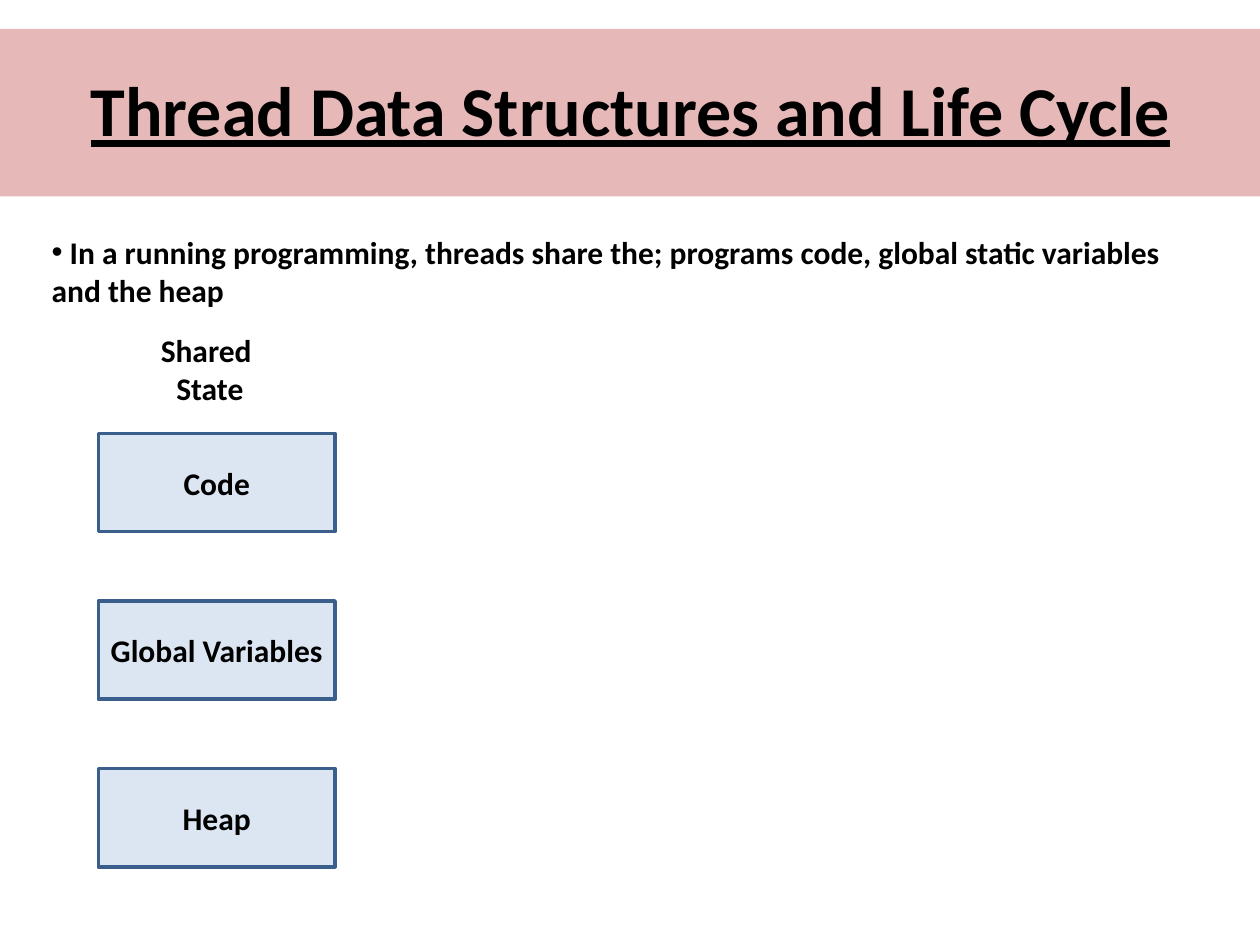
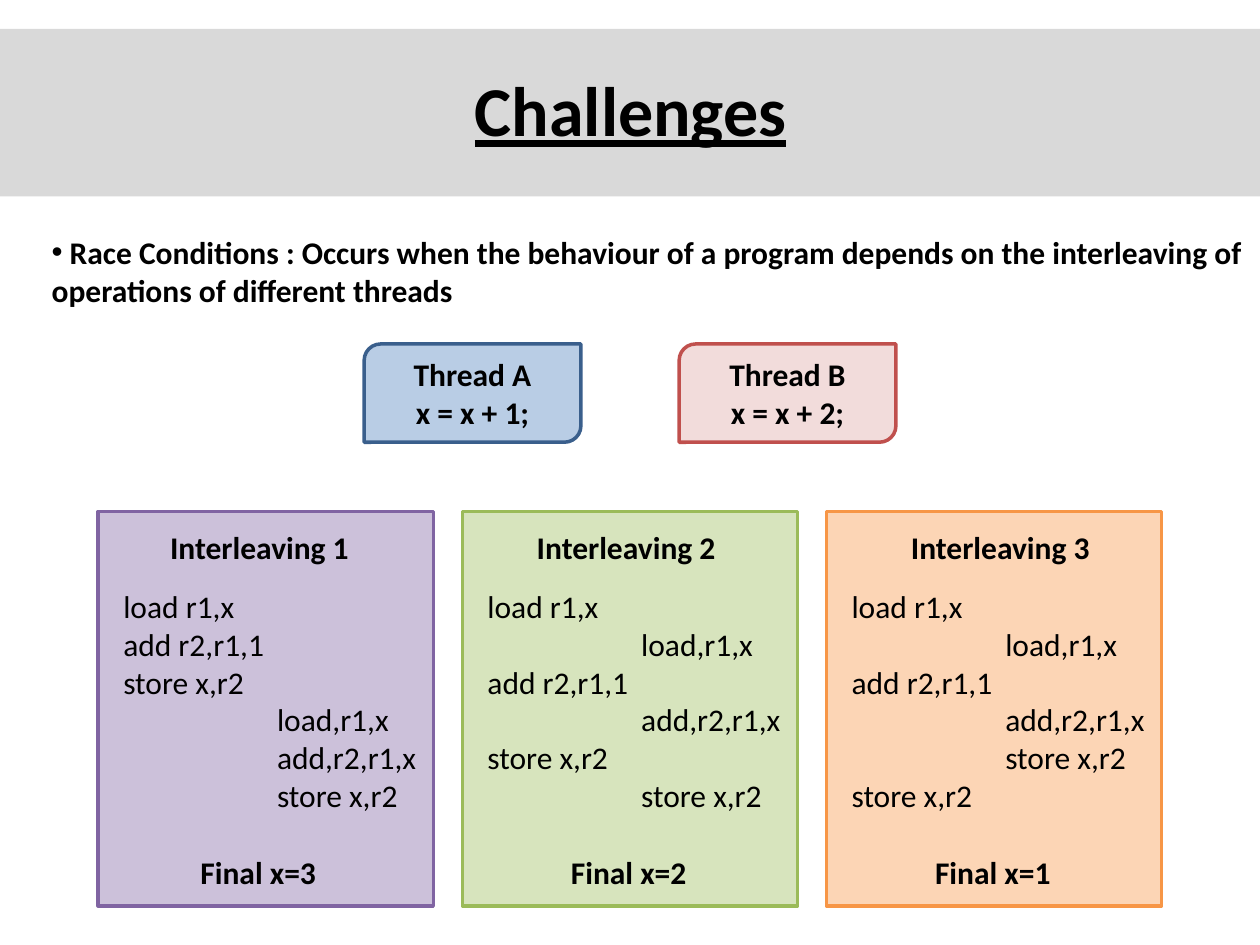
from pptx import Presentation
from pptx import util as u
from pptx.dml.color import RGBColor
from pptx.enum import shapes, text
from lxml import etree
from dataclasses import dataclass


@dataclass(frozen=True)
class Theme:
    font: str = "Calibri"
    ink: str = "000000"
    title_size: int = 40
    body_size: int = 18
    line_width: int = 2
    blue_line: str = "3A5F8C"
    pale_blue: str = "DCE6F2"
    blue: str = "B9CDE5"
    pink: str = "F2DCDB"
    red_line: str = "C0504D"
    rose_band: str = "E6B9B8"
    grey_band: str = "D9D9D9"


THEME = Theme()
WIDTH, HEIGHT = 10, 7.5
MARGIN = 0.78
BOX_HEIGHT = 0.78
THREAD_B_INDENT = 1.22

LIFE_CYCLE = {
    "title": "Thread Data Structures and Life Cycle",
    "band": THEME.rose_band,
    "bullet": " In a running programming, threads share the; programs code, "
              "global static variables and the heap",
    "bullet_width": 9.38,
}
SHARED_HEADING = ["Shared ", "State"]
SHARED_STATE = ["Code", "Global Variables", "Heap"]

CHALLENGES = {
    "title": "Challenges",
    "band": THEME.grey_band,
    "bullet": " Race Conditions : Occurs when the behaviour of a program depends on "
              "the interleaving of operations of different threads",
    "bullet_width": 9.69,
}
THREADS = [
    (["Thread A", "x = x + 1;"], THEME.blue, THEME.blue_line),
    (["Thread B", "x = x + 2;"], THEME.pink, THEME.red_line),
]
OPERATIONS = {
    "A": ["load r1,x", "add r2,r1,1", "store x,r2"],
    "B": ["load,r1,x", "add,r2,r1,x", "store x,r2"],
}
INTERLEAVINGS = [
    {"order": "AAABBB", "final": 3, "fill": "CCC1DA", "line": "8064A2",
     "heading_shift": -0.05, "final_shift": -0.06},
    {"order": "ABABAB", "final": 2, "fill": "D7E4BD", "line": "9BBB59",
     "heading_shift": -0.03, "final_shift": -0.01},
    {"order": "ABABBA", "final": 1, "fill": "FCD5B5", "line": "F79646",
     "heading_shift": 0.05, "final_shift": -0.01},
]


def place(shape, left, top, width, height):
    shape.left, shape.top = u.Inches(left), u.Inches(top)
    shape.width, shape.height = u.Inches(width), u.Inches(height)


def write(shape, lines, size=THEME.body_size, bold=True, underline=False,
          align=text.PP_ALIGN.CENTER, anchor=text.MSO_ANCHOR.MIDDLE,
          indents=None, bullet=None):
    frame = shape.text_frame
    frame.word_wrap = True
    frame.auto_size = text.MSO_AUTO_SIZE.NONE
    frame.vertical_anchor = anchor
    for index, line in enumerate(lines):
        paragraph = frame.paragraphs[0] if index == 0 else frame.add_paragraph()
        paragraph.alignment = align
        paragraph.space_before = u.Pt(0)
        properties = paragraph._p.get_or_add_pPr()
        properties.set("marL", str(u.Inches(indents[index] if indents else 0)))
        properties.set("indent", "0")
        if bullet:
            mark = etree.SubElement(properties, properties.tag.replace("pPr", "buChar"))
            mark.set("char", bullet)
        run = paragraph.add_run()
        run.text = line
        run.font.name = THEME.font
        run.font.size = u.Pt(size)
        run.font.bold = bold
        run.font.underline = underline
        run.font.color.rgb = RGBColor.from_string(THEME.ink)


def add_box(slide, left, top, width, height, fill, line=None,
            kind=shapes.MSO_SHAPE.RECTANGLE):
    shape = slide.shapes.add_shape(kind, *map(u.Inches, (left, top, width, height)))
    shape.shadow.inherit = False
    shape.fill.solid()
    shape.fill.fore_color.rgb = RGBColor.from_string(fill)
    if line:
        shape.line.color.rgb = RGBColor.from_string(line)
        shape.line.width = u.Pt(THEME.line_width)
    else:
        shape.line.fill.background()
    return shape


def add_label(slide, lines, left, top, width, height, **format):
    label = slide.shapes.add_textbox(*map(u.Inches, (left, top, width, height)))
    write(label, lines, anchor=text.MSO_ANCHOR.TOP, **format)


def start_slide(presentation, content):
    slide = presentation.slides.add_slide(presentation.slide_layouts[1])
    title, body = slide.shapes.title, slide.placeholders[1]
    band = add_box(slide, 0, 0.23, WIDTH, 1.33, content["band"])
    title._element.addprevious(band._element)
    place(title, 0.12, 0.39, 9.77, 0.94)
    write(title, [content["title"]], size=THEME.title_size, underline=True)
    place(body, 0.31, 1.8, content["bullet_width"], 0.78)
    write(body, [content["bullet"]], align=text.PP_ALIGN.LEFT,
          anchor=text.MSO_ANCHOR.TOP, bullet="•")
    return slide


def build_life_cycle(presentation):
    slide = start_slide(presentation, LIFE_CYCLE)
    add_label(slide, SHARED_HEADING, 1.12, 2.58, 1.09, 0.71)
    first_top, pitch = 3.44, 1.33
    for row, name in enumerate(SHARED_STATE):
        box = add_box(slide, MARGIN, first_top + row * pitch, 1.88, BOX_HEIGHT,
                      THEME.pale_blue, THEME.blue_line)
        write(box, [name])


def interleave(order):
    steps = {thread: iter(operations) for thread, operations in OPERATIONS.items()}
    return [next(steps[thread]) for thread in order]


def build_challenges(presentation):
    slide = start_slide(presentation, CHALLENGES)
    thread_width, thread_pitch = 1.72, 2.5
    first_thread = (WIDTH - thread_pitch - thread_width) / 2
    for column, (lines, fill, line) in enumerate(THREADS):
        box = add_box(slide, first_thread + column * thread_pitch, 2.73,
                      thread_width, BOX_HEIGHT, fill, line,
                      shapes.MSO_SHAPE.ROUND_2_DIAG_RECTANGLE)
        write(box, lines)

    panel_width, panel_top = 2.66, 4.06
    panel_pitch = (WIDTH - 2 * MARGIN - panel_width) / (len(INTERLEAVINGS) - 1)
    for column, panel in enumerate(INTERLEAVINGS):
        left = MARGIN + column * panel_pitch
        add_box(slide, left, panel_top, panel_width, 3.13, panel["fill"], panel["line"])
        add_label(slide, [f"Interleaving {column + 1}"], left + panel["heading_shift"],
                  panel_top + 0.08, panel_width, 0.4)
        add_label(slide, interleave(panel["order"]), left + 0.1, panel_top + 0.55,
                  2.62, 1.92, bold=False, align=text.PP_ALIGN.LEFT,
                  indents=[THREAD_B_INDENT * (thread == "B") for thread in panel["order"]])
        add_label(slide, [f"Final x={panel['final']}"], left + panel["final_shift"],
                  panel_top + panel_width, panel_width, 0.4)


def main():
    presentation = Presentation()
    presentation.slide_width = u.Inches(WIDTH)
    presentation.slide_height = u.Inches(HEIGHT)
    build_life_cycle(presentation)
    build_challenges(presentation)
    presentation.save("out.pptx")


if __name__ == "__main__":
    main()
